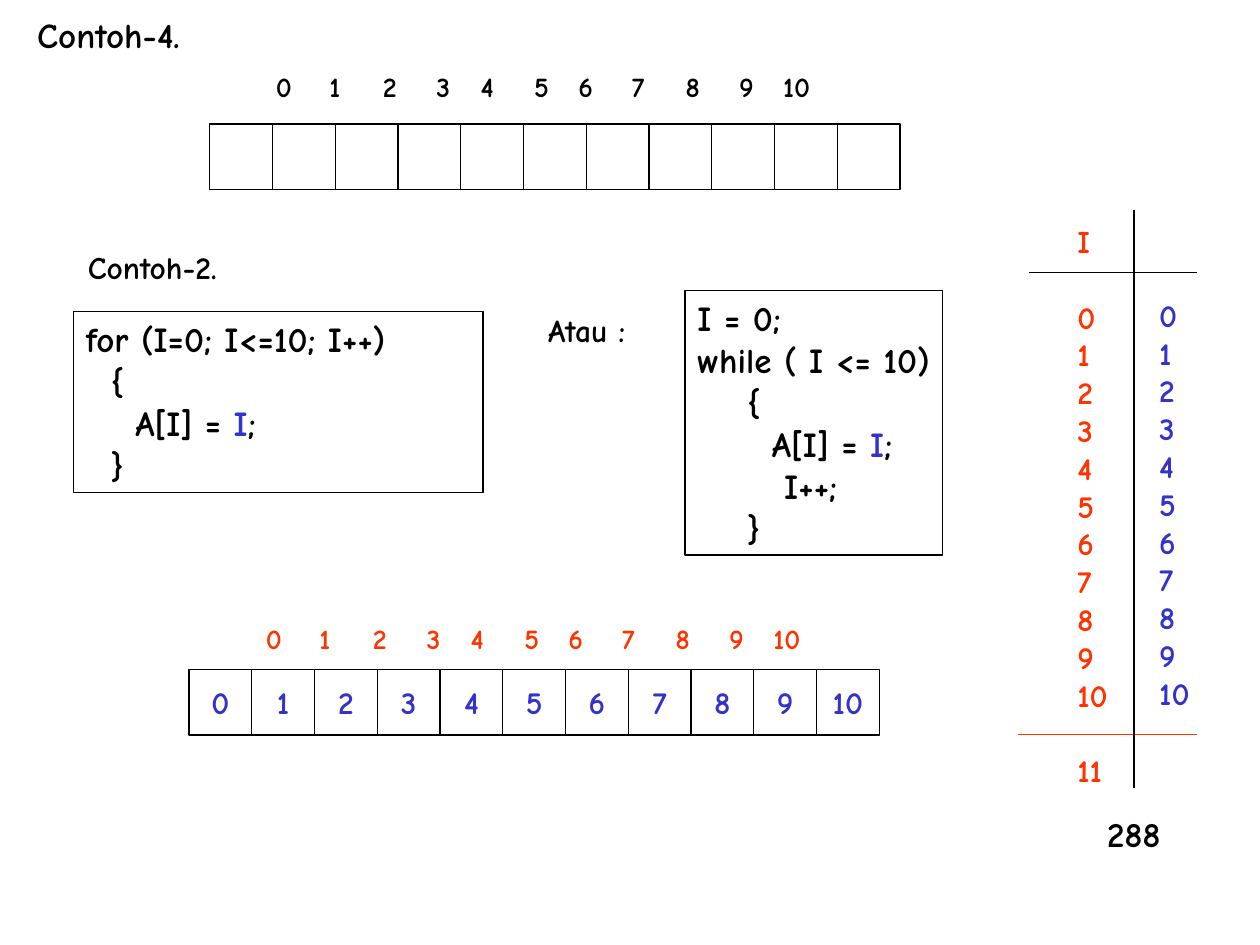
from lxml import etree
from pptx import Presentation
from pptx.dml.color import RGBColor
from pptx.enum.shapes import MSO_CONNECTOR, MSO_SHAPE
from pptx.enum.text import MSO_ANCHOR, PP_ALIGN
from pptx.oxml.ns import qn
from pptx.util import Cm, Pt

FONT = "Comic Neue"
BLACK, BLUE, RED = "000000", "3333CC", "FF3300"
INDICES = [str(number) for number in range(11)]
CELL_STEP, CELL_HEIGHT = 1.265, 1.32
SPACE_WIDTH = 0.25
INDEX_GAP, NARROW_GAP = 1.08, 0.89
NARROW_BEFORE = {"4", "6", "10"}
BLANK_LINE = 21.6

LABELS = [
    ("Contoh-4.", 0.5, 0.15, 3.8, 1.12, 20),
    ("Contoh-2.", 1.52, 4.88, 3.4, 1.02, 18),
    ("Atau :", 10.8, 6.15, 2.4, 1.02, 18),
    ("288", 22.07, 16.26, 2.2, 1.12, 20),
]
ASSIGNMENT = [("A[I] = ", BLACK), ("I", BLUE), (";", BLACK)]
FOR_LOOP = [
    (0, [("for (I=0; I<=10; I++)", BLACK)]),
    (2, [("{", BLACK)]),
    (4, ASSIGNMENT),
    (2, [("}", BLACK)]),
]
WHILE_LOOP = [
    (0, [("I = 0;", BLACK)]),
    (0, [("while ( I <= 10)", BLACK)]),
    (4, [("{", BLACK)]),
    (6, ASSIGNMENT),
    (7, [("I++;", BLACK)]),
    (4, [("}", BLACK)]),
]
CODE_BOXES = [
    (FOR_LOOP, 1.48, 6.28, 8.26, 3.65),
    (WHILE_LOOP, 13.81, 5.86, 5.19, 5.33),
]
ARRAYS = [
    (4.23, 2.5, [""] * 11, 5.31, 1.27, BLACK),
    (3.81, 13.5, INDICES, 5.11, 12.4, RED),
]
TRACE_COLUMNS = [
    (["I"] + INDICES + ["11"], 21.47, 4.35, 11.68, RED),
    (INDICES, 23.12, 5.84, 8.64, BLUE),
]
TRACE_LINES = [
    (20.75, 5.5, 24.13, 5.5, BLACK),
    (20.53, 14.81, 24.13, 14.81, RED),
    (22.86, 4.23, 22.86, 15.88, BLACK),
]


def color(value):
    return RGBColor.from_string(value)


def apply(target, values):
    for name, value in values.items():
        setattr(target, name, value)


def write(shape, lines, size, wrap=False, align=PP_ALIGN.LEFT, anchor=MSO_ANCHOR.TOP):
    frame = shape.text_frame
    apply(frame, {"word_wrap": wrap, "vertical_anchor": anchor})
    for number, (indent, runs) in enumerate(lines):
        paragraph = frame.add_paragraph() if number else frame.paragraphs[0]
        paragraph.alignment = align
        if indent:
            paragraph._p.get_or_add_pPr().set("marL", str(Cm(indent * SPACE_WIDTH)))
        for text, hue in runs:
            run = paragraph.add_run()
            run.text = text
            apply(run.font, {"name": FONT, "size": Pt(size), "bold": True})
            run.font.color.rgb = color(hue)
    return frame


def add_text(slide, box, lines, size):
    shape = slide.shapes.add_textbox(*map(Cm, box))
    return write(shape, lines, size, wrap=True)


def outline(shape, hue):
    shape.line.color.rgb = color(hue)
    shape.line.width = Pt(0.75)


def add_box(slide, box):
    shape = slide.shapes.add_shape(MSO_SHAPE.RECTANGLE, *map(Cm, box))
    shape.shadow.inherit = False
    shape.fill.background()
    outline(shape, BLACK)
    return shape


def add_index_row(slide, left, top, hue):
    frame = add_text(slide, (left, top, 11.8, 0.94), [(0, [("\t".join(INDICES), hue)])], 16)
    tabs = etree.SubElement(frame.paragraphs[0]._p.get_or_add_pPr(), qn("a:tabLst"))
    position = 0
    for index in INDICES[1:]:
        position += NARROW_GAP if index in NARROW_BEFORE else INDEX_GAP
        etree.SubElement(tabs, qn("a:tab"), pos=str(Cm(position)), algn="l")


def add_array(slide, left, top, values, index_left, index_top, hue):
    for number, value in enumerate(values):
        cell = add_box(slide, (left + number * CELL_STEP, top, CELL_STEP, CELL_HEIGHT))
        if value:
            write(cell, [(0, [(value, BLUE)])], 18, align=PP_ALIGN.CENTER, anchor=MSO_ANCHOR.MIDDLE)
    add_index_row(slide, index_left, index_top, hue)


def add_trace(slide):
    for values, left, top, height, hue in TRACE_COLUMNS:
        lines = [(0, [(value, hue)]) for value in values]
        frame = add_text(slide, (left, top, 1.4, height), lines, 18)
        if values[0] == "I":
            for number in (1, len(values) - 1):
                frame.paragraphs[number].space_before = Pt(BLANK_LINE)
    for *ends, hue in TRACE_LINES:
        line = slide.shapes.add_connector(MSO_CONNECTOR.STRAIGHT, *map(Cm, ends))
        outline(line, hue)
        etree.SubElement(line._element.spPr, qn("a:effectLst"))


def main():
    presentation = Presentation()
    apply(presentation, {"slide_width": Cm(25.4), "slide_height": Cm(19.05)})
    slide = presentation.slides.add_slide(presentation.slide_layouts[6])
    for text, *box, size in LABELS:
        add_text(slide, box, [(0, [(text, BLACK)])], size)
    for lines, *box in CODE_BOXES:
        write(add_box(slide, box), lines, 20)
    for array in ARRAYS:
        add_array(slide, *array)
    add_trace(slide)
    presentation.save("out.pptx")


if __name__ == "__main__":
    main()
